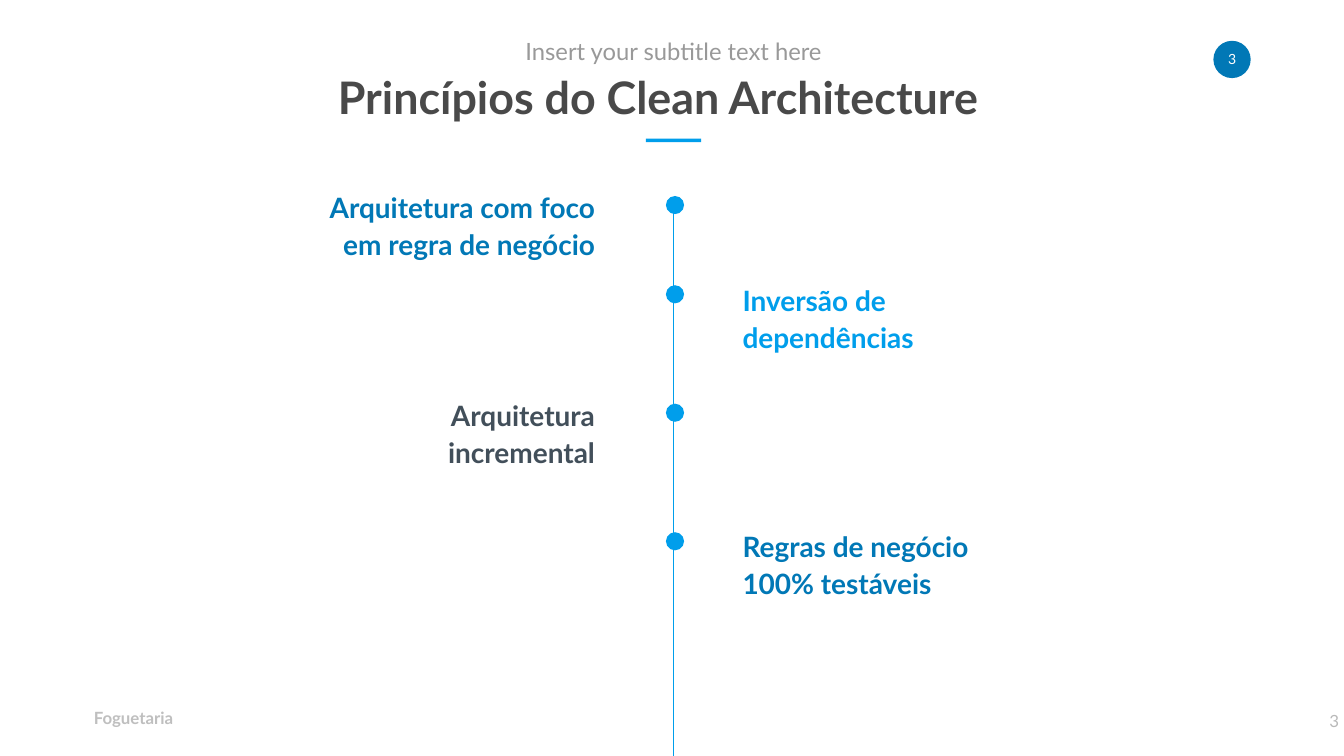
from pptx import Presentation
from pptx.dml.color import RGBColor
from pptx.enum.shapes import MSO_CONNECTOR, MSO_SHAPE
from pptx.enum.text import MSO_ANCHOR, PP_ALIGN
from pptx.oxml.ns import qn
from pptx.util import Pt
from lxml.etree import SubElement

SKY = RGBColor(0x00, 0x9E, 0xEB)
BLUE = RGBColor(0x01, 0x78, 0xB6)
SLATE = RGBColor(0x42, 0x4F, 0x5A)
DARK = RGBColor(0x49, 0x49, 0x49)
GREY = RGBColor(0x99, 0x99, 0x99)
PALE = RGBColor(0xB9, 0xB9, 0xB9)
SILVER = RGBColor(0xBF, 0xBF, 0xBF)
WHITE = RGBColor(0xFF, 0xFF, 0xFF)
LEFT, MID, RIGHT = PP_ALIGN.LEFT, PP_ALIGN.CENTER, PP_ALIGN.RIGHT

deck = Presentation()
deck.slide_width, deck.slide_height = Pt(1919.52), Pt(1080)
slide = deck.slides.add_slide(deck.slide_layouts[6])


def add_text(text, box, size, color, align, bold=False, pad=(0, 0),
             anchor=MSO_ANCHOR.MIDDLE):
    frame = slide.shapes.add_textbox(*map(Pt, box)).text_frame
    frame.word_wrap = True
    frame.vertical_anchor = anchor
    frame.margin_left = frame.margin_right = Pt(pad[0])
    frame.margin_top = frame.margin_bottom = Pt(pad[1])
    para = frame.paragraphs[0]
    para.text = text
    para.alignment = align
    font = para.font
    font.name, font.size, font.bold = "Lato", Pt(size), bold
    font.color.rgb = color
    return para


def add_solid(kind, box, color):
    shape = slide.shapes.add_shape(kind, *map(Pt, box))
    shape.shadow.inherit = False
    shape.fill.solid()
    shape.fill.fore_color.rgb = color
    shape.line.fill.background()


# Page badge and footer
add_solid(MSO_SHAPE.OVAL, (1733, 58.3, 53.3, 53.3), BLUE)
add_text("3", (1735.2, 64.8, 49, 38.9), 20, WHITE, MID,
         pad=(14.4, 7.2), anchor=MSO_ANCHOR.TOP)
add_text("Foguetaria", (133.9, 1011.6, 255.6, 28.8), 24, SILVER, LEFT, True)
add_text("3", (1487.5, 1000.8, 432, 57.6), 24, PALE, RIGHT, pad=(7.2, 3.6))

# Timeline axis
axis = slide.shapes.add_connector(
    MSO_CONNECTOR.STRAIGHT, Pt(962), Pt(295.2), Pt(962), Pt(1080))
axis.line.color.rgb = SKY
axis.line.width = Pt(2.25)
SubElement(axis._element.spPr, qn("a:effectLst"))

# Heading
add_text("Princípios do Clean Architecture", (398.2, 98.6, 1082.9, 77.8),
         64, DARK, MID, True)
add_text("Insert your subtitle text here", (744.5, 52.6, 434.9, 41),
         34, GREY, MID)
add_solid(MSO_SHAPE.RECTANGLE, (922.3, 198, 79.2, 5), SKY)

# Principles, alternating sides of the axis: text, colour, text top, dot top
steps = [
    ("Arquitetura com foco em regra de negócio", BLUE, 263.5, 280),
    ("Inversão de dependências", SKY, 396.7, 407.5),
    ("Arquitetura incremental", SLATE, 560.9, 576.7),
    ("Regras de negócio 100% testáveis", BLUE, 748, 760.3),
]
for i, (text, color, top, dot) in enumerate(steps):
    left, align = ((443.5, RIGHT), (1053.4, LEFT))[i % 2]
    para = add_text(text, (left, top, 413.3, 96.5), 40, color, align, True,
                    (7.2, 3.6), MSO_ANCHOR.TOP)
    para.line_spacing = 1.1
    add_solid(MSO_SHAPE.OVAL, (951.1, dot, 25.9, 25.9), SKY)

deck.save("out.pptx")
